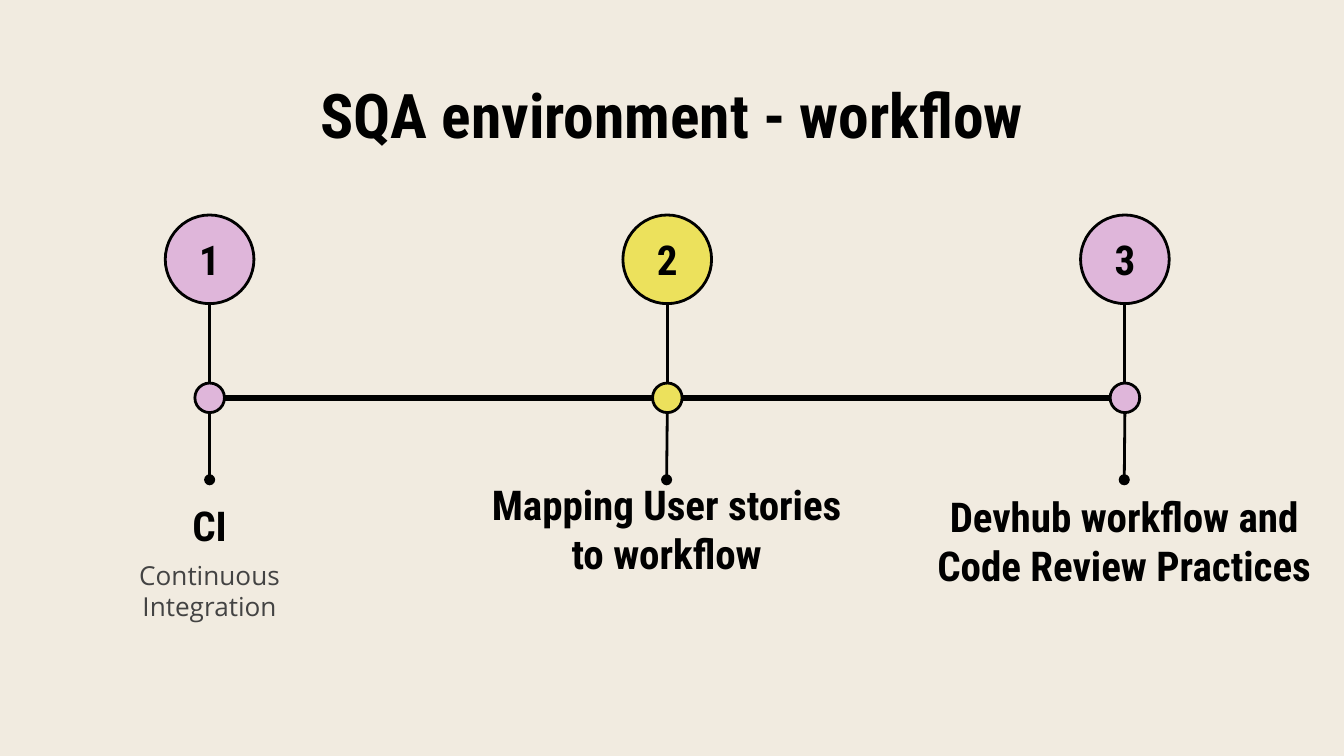
from pptx import Presentation
from pptx.dml.color import RGBColor
from pptx.enum.shapes import MSO_CONNECTOR as Connector, MSO_SHAPE as Shape
from pptx.enum.text import MSO_ANCHOR as Anchor, PP_ALIGN as Align
from pptx.oxml.ns import qn
from pptx.util import Inches, Pt
from lxml import etree

# Content
TITLE = "SQA environment - workflow"
BLACK, GREY, PINK, YELLOW = "000000", "434343", "DFB6DA", "ECE15C"
STEPS = [
    {"color": PINK, "heading": ["CI"], "box": (0.78, 3.57, 1.56, 0.52)},
    {"color": YELLOW, "heading": ["Mapping User stories to workflow"],
     "box": (3.42, 3.57, 3.08, 0.73)},
    {"color": PINK, "heading": ["Devhub workflow and", "Code Review Practices"],
     "box": (6.73, 3.57, 3.27, 0.82)},
]
DETAIL = ["Continuous", "Integration"]

# Text formats
HEADING = {"name": "Roboto Condensed", "size": Pt(22), "bold": True}
TITLE_FONT = {**HEADING, "size": Pt(33)}
BODY = {"name": "Open Sans", "size": Pt(14), "bold": False}

# Timeline geometry
FIRST_X, LAST_X = 1.56, 8.37
STEP_GAP = (LAST_X - FIRST_X) / (len(STEPS) - 1)
AXIS_Y, BADGE_Y, STEM_END = 2.96, 1.93, 3.57
BADGE, DOT = 0.66, 0.22


def rgb(color):
    return RGBColor.from_string(color)


def write(shape, lines, font, color=BLACK, anchor=Anchor.MIDDLE, pad=0.1):
    frame = shape.text_frame
    settings = {"word_wrap": True, "vertical_anchor": anchor,
                "margin_left": Inches(0.1), "margin_right": Inches(0.1),
                "margin_top": Inches(pad), "margin_bottom": Inches(pad)}
    for key, value in settings.items():
        setattr(frame, key, value)
    for index, line in enumerate(lines):
        para = frame.add_paragraph() if index else frame.paragraphs[0]
        para.alignment = Align.CENTER
        span = para.add_run()
        span.text = line
        for key, value in font.items():
            setattr(span.font, key, value)
        span.font.color.rgb = rgb(color)


def add_text(page, place, lines, font, **options):
    box = page.shapes.add_textbox(*map(Inches, place))
    write(box, lines, font, **options)


def add_circle(page, x, y, size, color):
    circle = page.shapes.add_shape(
        Shape.OVAL, *map(Inches, (x - size / 2, y - size / 2, size, size)))
    circle.shadow.inherit = False
    circle.fill.solid()
    circle.fill.fore_color.rgb = rgb(color)
    circle.line.color.rgb = rgb(BLACK)
    circle.line.width = Pt(1.5)
    return circle


def add_line(page, start, end, width=1.5, dot_end=False):
    line = page.shapes.add_connector(Connector.STRAIGHT, *map(Inches, start + end))
    line.line.color.rgb = rgb(BLACK)
    line.line.width = Pt(width)
    if dot_end:
        outline = line._element.spPr.find(qn("a:ln"))
        etree.SubElement(outline, qn("a:tailEnd"), type="oval")
    etree.SubElement(line._element.spPr, qn("a:effectLst"))


def main():
    deck = Presentation()
    deck.slide_width = Inches(10)
    deck.slide_height = deck.slide_width * 9 // 16
    page = deck.slides.add_slide(deck.slide_layouts[6])
    page.background.fill.solid()
    page.background.fill.fore_color.rgb = rgb("F1EBE0")

    # Title and detail text
    add_text(page, (0.78, 0.59, 8.44, 0.52), [TITLE], TITLE_FONT)
    add_text(page, (0.78, 4.16, 1.56, 0.88), DETAIL, BODY, color=GREY,
             anchor=Anchor.TOP, pad=0)

    # Headings
    for step in STEPS:
        add_text(page, step["box"], step["heading"], HEADING, anchor=Anchor.BOTTOM, pad=0)

    # Timeline axis
    add_line(page, (1.6, AXIS_Y), (8.4, AXIS_Y), width=3)

    # Steps: axis dot, numbered badge, stems up to the badge and down to the heading
    for index, step in enumerate(STEPS):
        x = FIRST_X + index * STEP_GAP
        left, _, width, _ = step["box"]
        add_circle(page, x, AXIS_Y, DOT, step["color"])
        badge = add_circle(page, x, BADGE_Y, BADGE, step["color"])
        write(badge, [str(index + 1)], HEADING)
        add_line(page, (x, BADGE_Y + BADGE / 2), (x, AXIS_Y - DOT / 2))
        add_line(page, (x, AXIS_Y + DOT / 2), (left + width / 2, STEM_END), dot_end=True)

    deck.save("out.pptx")


if __name__ == "__main__":
    main()
